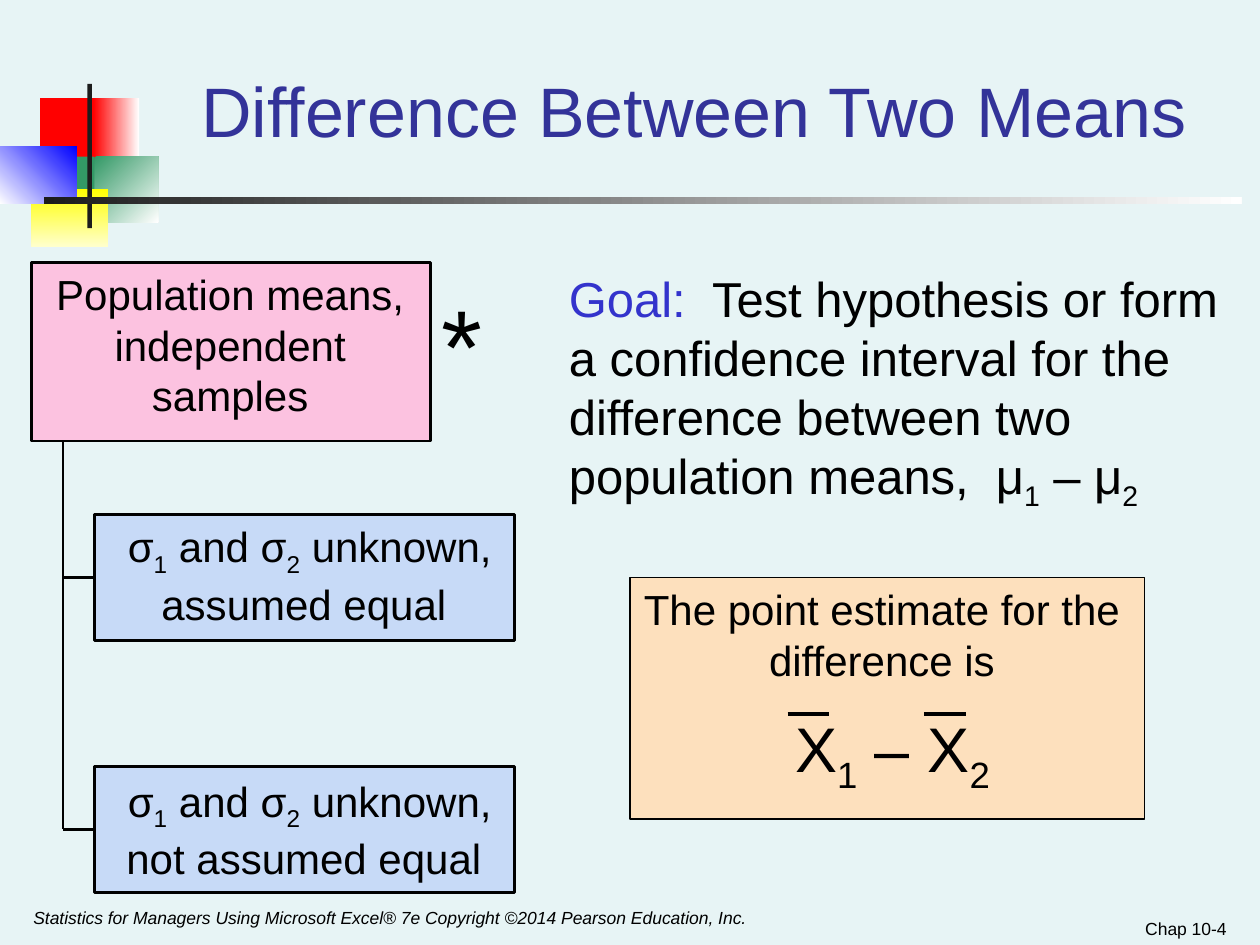
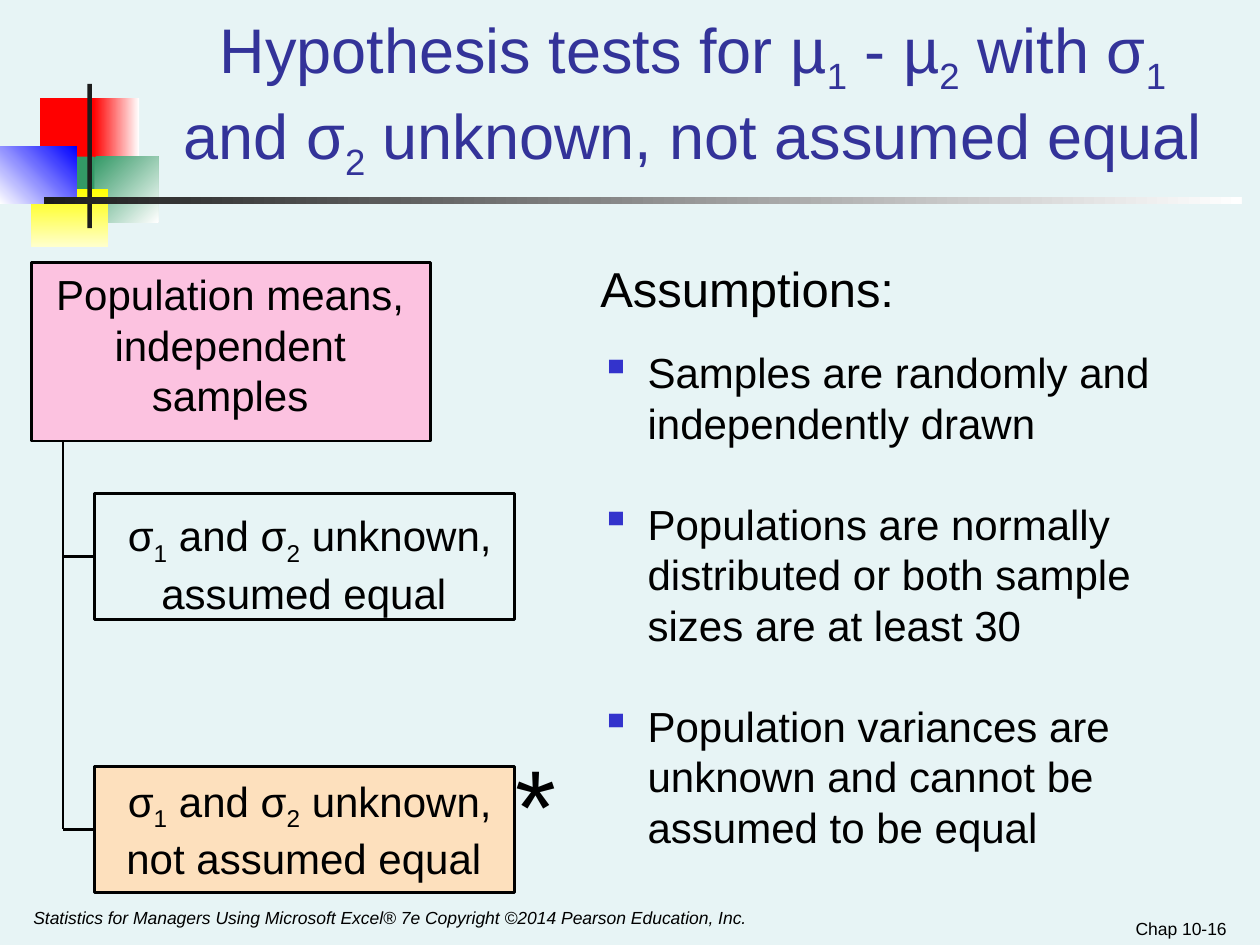
from lxml import etree
from pptx import Presentation
from pptx.dml.color import RGBColor
from pptx.enum import shapes, text
from pptx.oxml import ns
from pptx.util import Pt

FONT = "Arial"
COLORS = {
    "background": "E7F4F5", "title": "333399", "accent": "3333CC",
    "black": "000000", "ink": "1C1C1C", "white": "FFFFFF",
    "pink": "FCC2E0", "blue": "C7DAF7", "peach": "FDE0BD",
    "red": "FF0000", "green": "339966", "yellow": "FFFF00",
    "cream": "FFFFCC", "pure_blue": "0000FF",
}
LEFT, CENTER, RIGHT = text.PP_ALIGN.LEFT, text.PP_ALIGN.CENTER, text.PP_ALIGN.RIGHT
TOP, BOTTOM = text.MSO_ANCHOR.TOP, text.MSO_ANCHOR.BOTTOM
ORNAMENT = [
    (23, 56, 34.5, 37.5, ["red"], 0),
    (53.5, 56, 26, 37.5, ["red", "white"], 0),
    (54, 89.5, 36.5, 37.5, ["green", "white"], 315),
    (31, 89.5, 23, 37.5, ["green"], 0),
    (18, 108, 44, 33, ["yellow", "cream"], 270),
    (0, 83.5, 44, 33, ["white", "pure_blue"], 45),
    (50, 48, 2.5, 82.5, ["ink"], 0),
    (25, 112.5, 684.5, 4.2, ["ink", "white"], 0),
]
COPYRIGHT = ("Statistics for Managers Using Microsoft Excel® 7e "
             "Copyright ©2014 Pearson Education, Inc.")


def rgb(name):
    return RGBColor.from_string(COLORS[name])


def write(paragraph, content, size=24, color="black", align=LEFT, italic=False,
          lead="", before=None, pitch=None):
    paragraph.alignment = align
    if before is not None:
        paragraph.space_before = Pt(before)
    if pitch:
        paragraph.line_spacing = Pt(pitch)
    plain, *marked = content.split("_")
    pieces = [(lead, "accent", False), (plain, color, False)]
    for part in marked:
        pieces += [(part[0], color, True), (part[1:], color, False)]
    for words, tint, lowered in pieces:
        if not words:
            continue
        run = paragraph.add_run()
        run.text = words
        run.font.name = FONT
        run.font.size = Pt(size)
        run.font.italic = italic
        run.font.color.rgb = rgb(tint)
        if lowered:
            run._r.get_or_add_rPr().set("baseline", "-25000")


def set_frame(frame, anchor=TOP, insets=(7.2, 3.6, 7.2, 3.6)):
    frame.word_wrap = True
    frame.auto_size = text.MSO_AUTO_SIZE.NONE
    frame.vertical_anchor = anchor
    (frame.margin_left, frame.margin_top,
     frame.margin_right, frame.margin_bottom) = map(Pt, insets)


def add_words(slide, box, content, anchor=TOP, **style):
    frame = slide.shapes.add_textbox(*map(Pt, box)).text_frame
    set_frame(frame, anchor)
    write(frame.paragraphs[0], content, **style)
    return frame


def add_panel(slide, box, content, fill, insets, weight=1.5):
    panel = slide.shapes.add_shape(shapes.MSO_SHAPE.RECTANGLE, *map(Pt, box))
    panel.shadow.inherit = False
    if fill:
        panel.fill.solid()
        panel.fill.fore_color.rgb = rgb(fill)
    else:
        panel.fill.background()
    panel.line.color.rgb = rgb("black")
    panel.line.width = Pt(weight)
    set_frame(panel.text_frame, TOP, insets)
    write(panel.text_frame.paragraphs[0], content, align=CENTER)
    return panel


def add_line(slide, x1, y1, x2, y2, weight=1.5):
    line = slide.shapes.add_connector(shapes.MSO_CONNECTOR.STRAIGHT,
                                      *map(Pt, (x1, y1, x2, y2)))
    line.line.color.rgb = rgb("black")
    line.line.width = Pt(weight)
    etree.SubElement(line._element.spPr, ns.qn("a:effectLst"))
    return line


def add_ornament(slide):
    for *box, tints, angle in ORNAMENT:
        tile = slide.shapes.add_shape(shapes.MSO_SHAPE.RECTANGLE, *map(Pt, box))
        tile.shadow.inherit = False
        tile.line.fill.background()
        if len(tints) == 1:
            tile.fill.solid()
            tile.fill.fore_color.rgb = rgb(tints[0])
        else:
            tile.fill.gradient()
            tile.fill.gradient_angle = angle
            for position, (stop, tint) in enumerate(zip(tile.fill.gradient_stops, tints)):
                stop.position = position
                stop.color.rgb = rgb(tint)


def start_slide(deck, heading, box, size, page):
    slide = deck.slides.add_slide(deck.slide_layouts[5])
    add_ornament(slide)
    title = slide.shapes.title
    title.left, title.top, title.width, title.height = map(Pt, box)
    set_frame(title.text_frame, BOTTOM)
    write(title.text_frame.paragraphs[0], heading, size=size, color="title", align=CENTER)
    add_words(slide, (12, 515, 498, 25), COPYRIGHT, size=10, italic=True)
    add_words(slide, (540, 515, 168, 25), page, anchor=BOTTOM, size=10, align=RIGHT)
    return slide


def add_case_tree(slide, left, top, cases):
    add_panel(slide, (left, top, 228, 102), "Population means, independent samples",
              "pink", (13, 3.6, 14, 3.6))
    trunk = left + 18
    for offset, content, fill, drop in cases:
        case = add_panel(slide, (left + 36, top + offset, 240, 72), content, fill,
                         (13, drop, 7.2, 0))
        middle = top + offset + 36
        branch = add_line(slide, trunk, middle, left + 36, middle)
        branch.end_connect(case, 1)
    add_line(slide, trunk, top + 102, trunk, middle)


def add_star(slide, left, top):
    add_words(slide, (left, top, 48, 79), "*", size=60, align=CENTER)


def add_point_estimate(slide, left, top):
    add_panel(slide, (left, top, 294, 138), "The point estimate for the difference is",
              "peach", (3, 3.6, 9, 3.6), weight=0.75)
    add_words(slide, (left + 3, top + 72, 294, 57), "X_1 – X_2", size=36, align=CENTER)
    for bar in (90, 168):
        add_line(slide, left + bar, top + 78, left + bar + 24, top + 78, weight=2.25)


def add_bullet(paragraph, indent):
    properties = paragraph._p.get_or_add_pPr()
    properties.set("marL", str(Pt(indent)))
    properties.set("indent", str(-Pt(indent)))
    tint = etree.SubElement(properties, ns.qn("a:buClr"))
    etree.SubElement(tint, ns.qn("a:srgbClr"), val=COLORS["accent"])
    etree.SubElement(properties, ns.qn("a:buChar"), char="▪")


def add_assumptions(slide, box, assumptions):
    frame = add_words(slide, box, "Assumptions:", size=28, pitch=33.6)
    for number, assumption in enumerate(assumptions):
        paragraph = frame.add_paragraph()
        add_bullet(paragraph, 27)
        write(paragraph, assumption, before=29 if number else 17, pitch=28.8)


def build_difference_slide(deck):
    slide = start_slide(deck, "Difference Between Two Means", (90, 30, 613, 60), 40,
                        "Chap 10-4")
    add_case_tree(slide, 18, 150, [
        (144, "σ_1 and σ_2 unknown, assumed equal ", "blue", 3.6),
        (288, "σ_1 and σ_2 unknown, not assumed equal ", "blue", 5),
    ])
    add_star(slide, 240, 156)
    add_words(slide, (318, 150, 402, 146),
              "  Test hypothesis or form a confidence interval for the difference "
              "between two population means,  μ_1 – μ_2", size=28, lead="Goal:")
    add_point_estimate(slide, 360, 330)


def build_assumptions_slide(deck):
    slide = start_slide(deck, "Hypothesis tests for µ_1 - µ_2 with σ_1 and σ_2 unknown, "
                        "not assumed equal", (90, 12, 612, 96), 36, "Chap 10-16")
    add_case_tree(slide, 18, 150, [
        (132, "σ_1 and σ_2 unknown, assumed equal ", None, 9.4),
        (288, "σ_1 and σ_2 unknown, not assumed equal ", "peach", 5),
    ])
    add_star(slide, 282, 419)
    add_assumptions(slide, (336, 144, 338, 372), [
        "Samples are randomly and independently drawn",
        "Populations are normally distributed or both sample sizes are at least 30",
        "Population variances are unknown and cannot be assumed to be equal",
    ])


def main():
    deck = Presentation()
    deck.slide_width, deck.slide_height = Pt(720), Pt(540)
    backdrop = deck.slide_master.background.fill
    backdrop.solid()
    backdrop.fore_color.rgb = rgb("background")
    build_difference_slide(deck)
    build_assumptions_slide(deck)
    deck.save("out.pptx")


if __name__ == "__main__":
    main()
